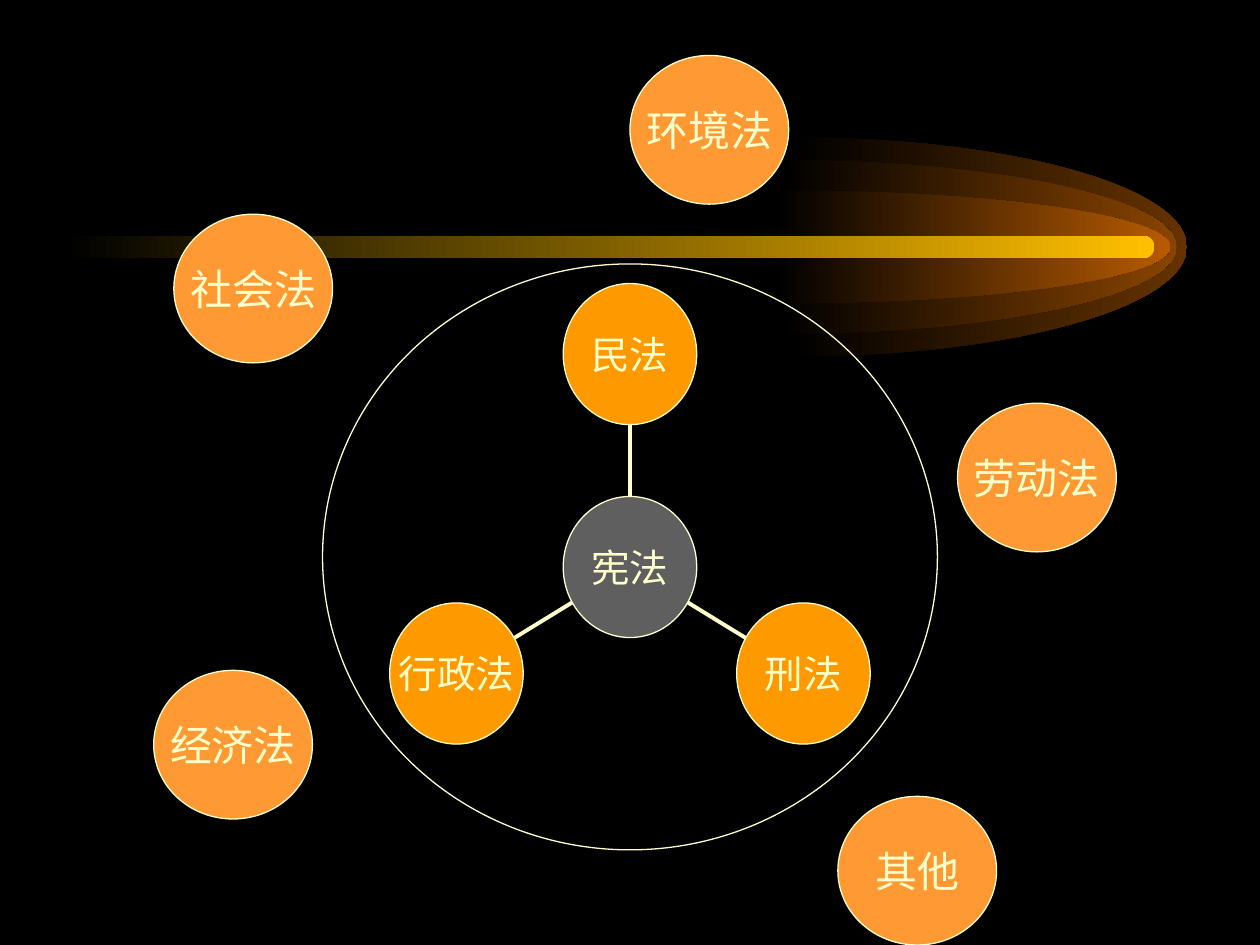
"""Build a slide of legal branches arranged around the constitution."""
from math import cos, radians, sin

from lxml.etree import SubElement
from pptx import Presentation
from pptx.dml.color import RGBColor
from pptx.enum.shapes import MSO_CONNECTOR, MSO_SHAPE
from pptx.enum.text import MSO_ANCHOR, PP_ALIGN
from pptx.oxml.ns import qn
from pptx.util import Inches, Pt

COLORS = {
    "night": "000000",
    "cream": "FFFFCC",
    "core": "5F5F5F",
    "inner": "FF9900",
    "outer": "FF9933",
    "halo_wide": "663300",
    "halo_middle": "894400",
    "halo_narrow": "B75B00",
    "beam": "FFBF00",
}
FONT = "DejaVu Sans"
COMET_Y = 1.96
HALO_LENGTH = 3.13
HALOS = [(6.29, 0.87, "halo_wide"), (6.21, 0.69, "halo_middle"), (6.16, 0.45, "halo_narrow")]
ARC_HANDLE = 0.55
CENTER = (5, 4.5)
ORBIT = (1.59, 1.69)
INNER_SIZE = (1.06, 1.12)
OUTER_SIZE = (1.26, 1.18)
INNER_LAWS = [("行政法", 210), ("刑法", 330), ("民法", 90)]
OUTER_LAWS = [
    ("经济法", 1.85, 5.91),
    ("其他", 7.28, 6.91),
    ("环境法", 5.63, 1.03),
    ("劳动法", 8.23, 3.79),
    ("社会法", 2.01, 2.29),
]


def rgb(color):
    return RGBColor.from_string(COLORS[color])


def fade_in(shape, color):
    shape.shadow.inherit = False
    shape.line.fill.background()
    shape.fill.gradient()
    shape.fill.gradient_angle = 0
    for stop, shade in zip(shape.fill.gradient_stops, ("night", color)):
        stop.color.rgb = rgb(shade)


def curve_segments(shape):
    segments = list(shape._element.iter(qn("a:lnTo")))
    for first, second, third in zip(segments[::3], segments[1::3], segments[2::3]):
        first.tag = qn("a:cubicBezTo")
        for handle in (second, third):
            first.append(handle[0])
            handle.getparent().remove(handle)


def add_halo(shapes, center_x, half_height, color):
    upper = [(0, -1), (ARC_HANDLE, -1), (1, -ARC_HANDLE)]
    lower = [(across, -down) for across, down in reversed(upper)]
    rim = [
        (Inches(center_x + HALO_LENGTH * across), Inches(COMET_Y + half_height * down))
        for across, down in upper + [(1, 0)] + lower
    ]
    outline = shapes.build_freeform(*rim[0])
    outline.add_line_segments(rim[1:], close=True)
    halo = outline.convert_to_shape()
    curve_segments(halo)
    fade_in(halo, color)


def add_beam(shapes):
    height = 0.18
    beam = shapes.add_shape(
        MSO_SHAPE.ROUNDED_RECTANGLE,
        Inches(0.5), Inches(COMET_Y - height / 2), Inches(8.66), Inches(height),
    )
    beam.adjustments[0] = 0.5
    fade_in(beam, "beam")


def add_circle(shapes, x, y, size, color=None):
    width, height = size
    circle = shapes.add_shape(
        MSO_SHAPE.OVAL,
        Inches(x - width / 2), Inches(y - height / 2), Inches(width), Inches(height),
    )
    circle.shadow.inherit = False
    circle.line.color.rgb = rgb("cream")
    circle.line.width = Pt(0.75)
    if color:
        circle.fill.solid()
        circle.fill.fore_color.rgb = rgb(color)
    else:
        circle.fill.background()
    return circle


def add_law(shapes, name, x, y, size, color, points, insets=(0, 0)):
    frame = add_circle(shapes, x, y, size, color).text_frame
    frame.word_wrap = False
    frame.vertical_anchor = MSO_ANCHOR.MIDDLE
    frame.margin_left = frame.margin_right = Inches(insets[0])
    frame.margin_top = frame.margin_bottom = Inches(insets[1])
    paragraph = frame.paragraphs[0]
    paragraph.alignment = PP_ALIGN.CENTER
    run = paragraph.add_run()
    run.text = name
    run.font.name = FONT
    run.font.size = Pt(points)
    run.font.color.rgb = rgb("cream")


def add_spoke(shapes, dx, dy):
    x, y = CENTER
    spoke = shapes.add_connector(
        MSO_CONNECTOR.STRAIGHT,
        Inches(x + dx / 3), Inches(y + dy / 3),
        Inches(x + dx * 2 / 3), Inches(y + dy * 2 / 3),
    )
    spoke.line.color.rgb = rgb("cream")
    spoke.line.width = Pt(2.25)
    SubElement(spoke._element.spPr, qn("a:effectLst"))


def add_comet(slide):
    comet = slide.shapes.add_group_shape().shapes
    for halo in HALOS:
        add_halo(comet, *halo)
    add_beam(comet)


def add_core_laws(slide):
    core = slide.shapes.add_group_shape().shapes
    x, y = CENTER
    for name, angle in INNER_LAWS:
        dx = ORBIT[0] * cos(radians(angle))
        dy = -ORBIT[1] * sin(radians(angle))
        add_spoke(core, dx, dy)
        add_law(core, name, x + dx, y + dy, INNER_SIZE, "inner", 22)
    add_law(core, "宪法", x, y, INNER_SIZE, "core", 22)


def main():
    deck = Presentation()
    deck.slide_width, deck.slide_height = Inches(10), Inches(7.5)
    slide = deck.slides.add_slide(deck.slide_layouts[6])
    slide.background.fill.solid()
    slide.background.fill.fore_color.rgb = rgb("night")

    add_comet(slide)
    add_core_laws(slide)
    add_circle(slide.shapes, 5, 4.42, (4.88, 4.65))
    for name, x, y in OUTER_LAWS:
        add_law(slide.shapes, name, x, y, OUTER_SIZE, "outer", 24, (0.1, 0.05))

    deck.save("out.pptx")


if __name__ == "__main__":
    main()
